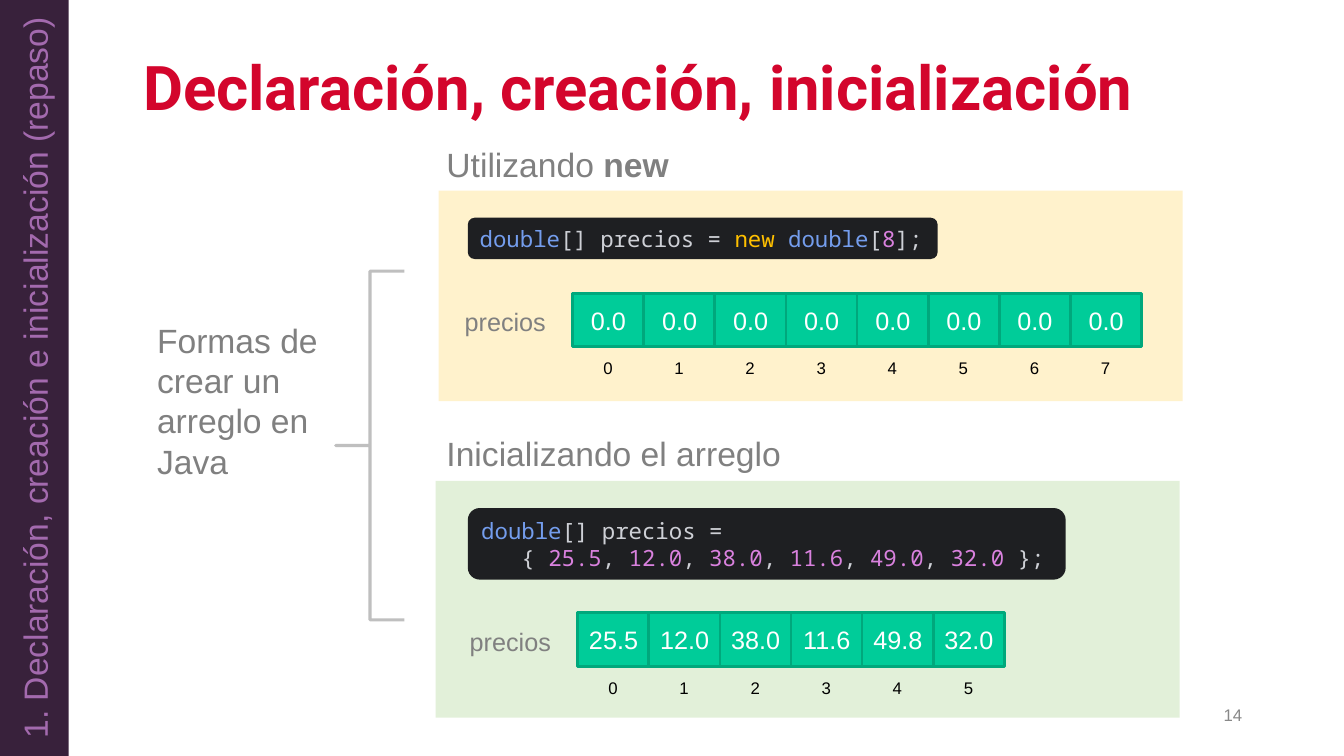
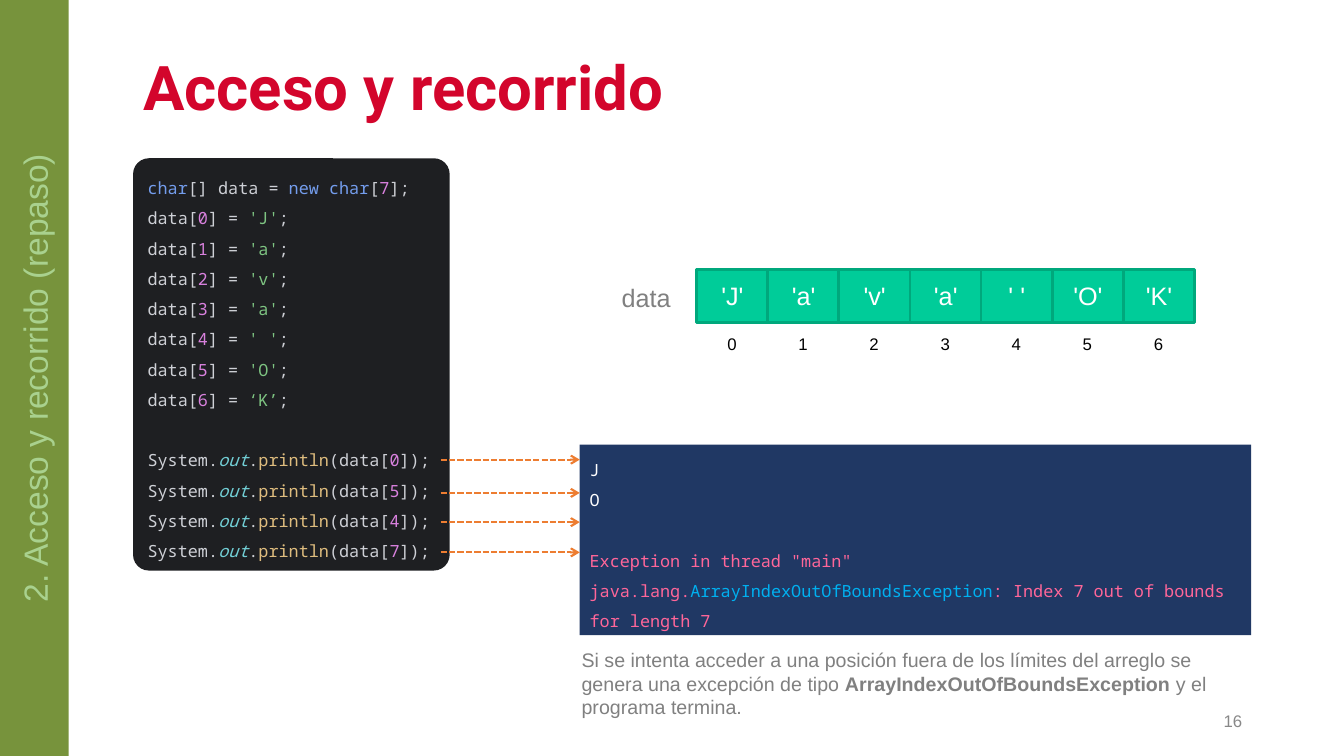
from lxml import etree
from pptx import Presentation
from pptx.dml.color import RGBColor
from pptx.enum.dml import MSO_LINE
from pptx.enum.shapes import MSO_CONNECTOR, MSO_SHAPE
from pptx.enum.text import MSO_ANCHOR, PP_ALIGN
from pptx.oxml.ns import qn
from pptx.util import Inches, Pt

RECT, ROUND, BRACE = MSO_SHAPE.RECTANGLE, MSO_SHAPE.ROUNDED_RECTANGLE, MSO_SHAPE.LEFT_BRACE
LEFT, CENTER, RIGHT = PP_ALIGN.LEFT, PP_ALIGN.CENTER, PP_ALIGN.RIGHT
TOP, MIDDLE = MSO_ANCHOR.TOP, MSO_ANCHOR.MIDDLE
SANS, MONO, TITLE_FONT = "Arial", "Noto Sans Mono", "Roboto"

# Colours
RED, GRAY, PAGE_GRAY, BRACE_GRAY = "D3052C", "808080", "888888", "BFBFBF"
CELL, CELL_LINE, WHITE, BLACK = "00CC99", "00A87C", "FFFFFF", "000000"
CODE_BG, CODE, KEYWORD, NUMBER = "1E1F22", "CED0D6", "749DED", "D981DE"
STRING, FIELD, METHOD, NEW = "7EC482", "72CFD6", "DEBC7E", "FFC000"
CONSOLE_BG, ERROR, ERROR_LINK, ARROW = "203864", "FF6699", "00B0F0", "ED7D31"

# Array drawing, in inches
CELL_W, CELL_PITCH, CELL_H = 0.71, 0.705, 0.53


def rgb(hex_color):
    return RGBColor.from_string(hex_color)


def write(sp, paragraphs, size, color, font=SANS, align=LEFT, anchor=TOP,
          spacing=None, wrap=True):
    """Each paragraph is a list of runs: a string or (text, colour, style)."""
    tf = sp.text_frame
    tf.word_wrap = wrap
    tf.vertical_anchor = anchor
    for i, runs in enumerate(paragraphs):
        p = tf.paragraphs[0] if i == 0 else tf.add_paragraph()
        p.alignment = align
        if spacing:
            p.line_spacing = spacing
        for run in runs:
            text, run_color, style = ((run,) if isinstance(run, str) else run) + (None, "")[-(3 - (1 if isinstance(run, str) else len(run))):] \
                if isinstance(run, str) or len(run) < 3 else run
            r = p.add_run()
            r.text = text
            r.font.name, r.font.size = font, Pt(size)
            r.font.color.rgb = rgb(run_color or color)
            if style:
                r.font.bold, r.font.italic = style == "b", style == "i"


def add_box(shapes, kind, x, y, w, h, fill=None, line=None, line_width=2):
    sp = shapes.add_shape(kind, Inches(x), Inches(y), Inches(w), Inches(h))
    sp.shadow.inherit = False
    if fill:
        sp.fill.solid()
        sp.fill.fore_color.rgb = rgb(fill)
    else:
        sp.fill.background()
    if line:
        sp.line.color.rgb = rgb(line)
        sp.line.width = Pt(line_width)
    else:
        sp.line.fill.background()
    return sp


def add_text(shapes, x, y, w, h, runs, size, color=GRAY, **options):
    sp = shapes.add_textbox(Inches(x), Inches(y), Inches(w), Inches(h))
    write(sp, [runs], size, color, **options)


def add_code(shapes, x, y, w, h, lines, size, spacing=None, radius=None):
    sp = add_box(shapes, ROUND, x, y, w, h, CODE_BG)
    if radius:
        sp.adjustments[0] = radius
    write(sp, lines, size, CODE, MONO, anchor=MIDDLE, spacing=spacing, wrap=False)
    return sp


def add_array(slide, x, y, name, values, name_align=LEFT):
    shapes = slide.shapes.add_group_shape().shapes
    for i, value in enumerate(values):
        left = x + i * CELL_PITCH
        cell = add_box(shapes, RECT, left, y, CELL_W, CELL_H, CELL, CELL_LINE)
        cell.text_frame.margin_left = cell.text_frame.margin_right = 0
        write(cell, [[value]], 18, WHITE, align=CENTER, anchor=MIDDLE)
        add_text(shapes, left + 0.18, y + 0.59, 0.34, 0.3, [str(i)], 12, BLACK, align=CENTER)
    add_text(shapes, x - 1.17, y + 0.08, 1.01, 0.4, [name], 18, align=name_align)


def add_arrow(shapes, x1, x2, y):
    line = shapes.add_connector(MSO_CONNECTOR.STRAIGHT, Inches(x1), Inches(y),
                                Inches(x2), Inches(y))
    line.line.color.rgb = rgb(ARROW)
    line.line.width = Pt(1.5)
    line.line.dash_style = MSO_LINE.SQUARE_DOT
    ln = line.line._get_or_add_ln()
    etree.SubElement(ln, qn("a:tailEnd"), type="arrow")
    etree.SubElement(line._element.spPr, qn("a:effectLst"))


def add_slide(prs, title, number, number_y, section, band, band_text):
    """Title, page number and vertical section band."""
    slide = prs.slides.add_slide(prs.slide_layouts[5])
    sp = slide.shapes.title
    sp.left, sp.top, sp.width, sp.height = map(Inches, (1.32, 0.47, 11.1, 0.86))
    write(sp, [[(title, RED, "b")]], 44, RED, TITLE_FONT, anchor=MIDDLE, spacing=0.9)
    add_text(slide.shapes, 9.42, number_y, 3, 0.4, [number], 12, PAGE_GRAY,
             align=RIGHT, anchor=MIDDLE)
    sp = add_box(slide.shapes, RECT, 0, 0, 0.68, 7.5, band)
    write(sp, [[section]], 24, band_text, align=CENTER, anchor=MIDDLE)
    sp.text_frame._txBody.bodyPr.set("vert", "vert270")
    return slide


def build_creation(prs):
    slide = add_slide(prs, "Declaración, creación, inicialización", "14", 6.89,
                      "1. Declaración, creación e inicialización (repaso)",
                      "38213B", "A36AAE")
    shapes = slide.shapes
    add_text(shapes, 1.46, 3.12, 1.83, 1.72, ["Formas de crear un arreglo en Java"], 24)
    brace = add_box(shapes, BRACE, 3.33, 2.69, 0.68, 3.46, line=BRACE_GRAY, line_width=2.25)
    brace.adjustments[0] = 0

    # With new
    add_text(shapes, 4.33, 1.38, 3.24, 0.5, ["Utilizando ", ("new", GRAY, "b")], 24)
    add_box(shapes, RECT, 4.35, 1.89, 7.38, 2.09, "FFF2CC")
    add_code(shapes, 4.64, 2.16, 4.66, 0.41, [
        [("double", KEYWORD), "[] precios = ", ("new", NEW), (" double", KEYWORD),
         "[", ("8", NUMBER), "];"]], 16)
    add_array(slide, 5.68, 2.91, "precios", ["0.0"] * 8)

    # With initial values
    add_text(shapes, 4.33, 4.25, 3.85, 0.5, ["Inicializando el arreglo"], 24)
    add_box(shapes, RECT, 4.32, 4.77, 7.38, 2.35, "E2F0D9")
    values = ["   { "]
    for price in ("25.5", "12.0", "38.0", "11.6", "49.0"):
        values += [(price, NUMBER), ", "]
    values += [("32.0 ", NUMBER), "};"]
    add_code(shapes, 4.64, 5.04, 5.93, 0.71,
             [[("double", KEYWORD), "[] precios ="], values], 16)
    add_array(slide, 5.73, 6.08, "precios", ["25.5", "12.0", "38.0", "11.6", "49.8", "32.0"])


def build_access(prs):
    slide = add_slide(prs, "Acceso y recorrido", "16", 6.95,
                      "2. Acceso y recorrido (repaso)", "77933C", "A9D18E")
    shapes = slide.shapes

    # Code
    literals = ["'J'", "'a'", "'v'", "'a'", "' '", "'O'", "‘K’"]
    lines = [[("char", KEYWORD), "[] data = ", ("new char", KEYWORD), "[",
              ("7", NUMBER), "];"]]
    lines += [["data[", (str(i), NUMBER), "] = ", (literal, STRING), ";"]
              for i, literal in enumerate(literals)]
    first_print = len(lines)
    lines += [["System.", ("out", FIELD, "i"), ".", ("println", METHOD), "(data[",
               (index, NUMBER), "]);"] for index in "0547"]
    sp = add_code(shapes, 1.32, 1.57, 3.14, 4.09, lines, 12, spacing=1.5, radius=0.05)
    sp.text_frame.paragraphs[first_print].space_before = Pt(21.6)

    # Console output
    sp = add_box(shapes, RECT, 5.75, 4.41, 6.66, 1.89, CONSOLE_BG)
    write(sp, [["J"], ["O"], [" "],
               [('Exception in thread "main" java.lang.', ERROR),
                ("ArrayIndexOutOfBoundsException", ERROR_LINK),
                (": Index 7 out of bounds for length 7", ERROR)]],
          12, WHITE, MONO, spacing=1.5)
    for y in (4.56, 4.89, 5.18, 5.48):
        add_arrow(shapes, 4.37, 5.75, y)

    add_array(slide, 6.91, 2.67, "data", literals[:-1] + ["'K'"], RIGHT)
    add_text(shapes, 5.67, 6.38, 6.74, 0.81, [
        "Si se intenta acceder a una posición fuera de los límites del arreglo se "
        "genera una excepción de tipo ",
        ("ArrayIndexOutOfBoundsException", GRAY, "b"), " y el programa termina."], 14)


def main():
    prs = Presentation()
    prs.slide_width, prs.slide_height = Inches(13.33), Inches(7.5)
    build_creation(prs)
    build_access(prs)
    prs.save("out.pptx")


if __name__ == "__main__":
    main()
